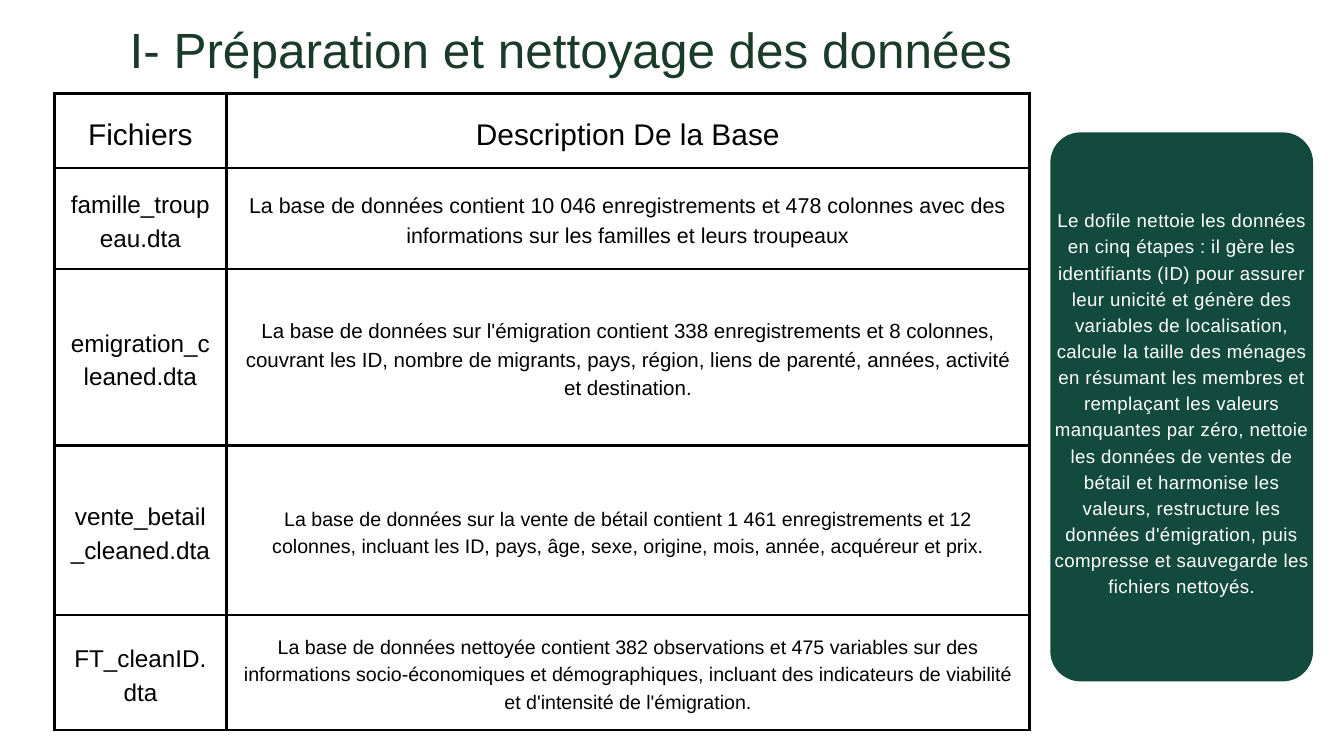
from lxml import etree
from pptx import Presentation
from pptx import util as u
from pptx.dml.color import RGBColor
from pptx.enum import shapes, text
from pptx.oxml.ns import qn

COLORS = {"title": "1A3B29", "panel": "124B3D", "ink": "000000", "light": "FFFFFF"}
FONT = "Arial"
LINE_RATIO = 1.4  # line height relative to the text size

TITLE = "I- Préparation et nettoyage des données"
COLUMN_WIDTHS = [2.56, 11.95]
# Row height, then (text, size) for each cell
TABLE_ROWS = [
    (1.11, ("Fichiers", 32), ("Description De la Base", 32)),
    (1.5, ("famille_troupeau.dta", 26),
     ("La base de données contient 10 046 enregistrements et 478 colonnes avec des "
      "informations sur les familles et leurs troupeaux", 23)),
    (2.63, ("emigration_cleaned.dta", 26),
     ("La base de données sur l'émigration contient 338 enregistrements et 8 colonnes, "
      "couvrant les ID, nombre de migrants, pays, région, liens de parenté, années, "
      "activité et destination.", 22)),
    (2.52, ("vente_betail_cleaned.dta", 26),
     ("La base de données sur la vente de bétail contient 1 461 enregistrements et 12 "
      "colonnes, incluant les ID, pays, âge, sexe, origine, mois, année, acquéreur et "
      "prix.", 21)),
    (1.71, ("FT_cleanID.dta", 26),
     ("La base de données nettoyée contient 382 observations et 475 variables sur des "
      "informations socio-économiques et démographiques, incluant des indicateurs de "
      "viabilité et d'intensité de l'émigration.", 21)),
]
CLEANING_STEPS = (
    "Le dofile nettoie les données en cinq étapes : il gère les identifiants (ID) pour "
    "assurer leur unicité et génère des variables de localisation, calcule la taille des "
    "ménages en résumant les membres et remplaçant les valeurs manquantes par zéro, "
    "nettoie les données de ventes de bétail et harmonise les valeurs, restructure les "
    "données d'émigration, puis compresse et sauvegarde les fichiers nettoyés.")


class SlideBuilder:
    def __init__(self, slide):
        self.slide = slide

    def add_text(self, paragraph, content, size, color, align=text.PP_ALIGN.CENTER, spacing=0):
        """Add one styled run; spacing is the tracking in points."""
        paragraph.alignment = align
        paragraph.line_spacing = u.Pt(round(size * LINE_RATIO, 1))
        run = paragraph.add_run()
        run.text = content
        run.font.name = FONT
        run.font.size = u.Pt(size)
        run.font.color.rgb = RGBColor.from_string(COLORS[color])
        if spacing:
            run._r.get_or_add_rPr().set("spc", str(round(spacing * 100)))

    def set_insets(self, target, inset):
        target.margin_left = target.margin_right = u.Inches(inset)
        target.margin_top = target.margin_bottom = u.Inches(inset)

    def title(self, content, left, top, width, height):
        shape = self.slide.shapes.title
        shape.left, shape.top = u.Inches(left), u.Inches(top)
        shape.width, shape.height = u.Inches(width), u.Inches(height)
        frame = shape.text_frame
        frame.word_wrap = True
        frame.auto_size = text.MSO_AUTO_SIZE.NONE
        frame.vertical_anchor = text.MSO_ANCHOR.TOP
        self.set_insets(frame, 0)
        self.add_text(frame.paragraphs[0], content, 53, "title", text.PP_ALIGN.LEFT)

    def border(self, cell, color, width):
        properties = cell._tc.get_or_add_tcPr()
        for index, side in enumerate(("lnL", "lnR", "lnT", "lnB")):
            line = etree.Element(qn(f"a:{side}"), w=str(int(u.Pt(width))))
            fill = etree.SubElement(line, qn("a:solidFill"))
            etree.SubElement(fill, qn("a:srgbClr"), val=COLORS[color])
            properties.insert(index, line)

    def table(self, rows, widths, left, top):
        heights = [row[0] for row in rows]
        table = self.slide.shapes.add_table(
            len(rows), len(widths), u.Inches(left), u.Inches(top),
            u.Inches(sum(widths)), u.Inches(sum(heights))).table
        table.first_row = table.horz_banding = False
        for column, width in zip(table.columns, widths):
            column.width = u.Inches(width)
        for table_row, (height, *entries) in zip(table.rows, rows):
            table_row.height = u.Inches(height)
            for cell, (content, size) in zip(table_row.cells, entries):
                cell.fill.background()
                self.border(cell, "ink", 3)
                self.set_insets(cell, 0.21)
                cell.vertical_anchor = text.MSO_ANCHOR.MIDDLE
                self.add_text(cell.text_frame.paragraphs[0], content, size, "ink")

    def panel(self, left, top, width, height, radius):
        shape = self.slide.shapes.add_shape(
            shapes.MSO_SHAPE.ROUNDED_RECTANGLE,
            u.Inches(left), u.Inches(top), u.Inches(width), u.Inches(height))
        shape.adjustments[0] = radius / min(width, height)
        shape.shadow.inherit = False
        shape.fill.solid()
        shape.fill.fore_color.rgb = RGBColor.from_string(COLORS["panel"])
        shape.line.fill.background()

    def text_box(self, content, left, top, width, height):
        box = self.slide.shapes.add_textbox(
            u.Inches(left), u.Inches(top), u.Inches(width), u.Inches(height))
        frame = box.text_frame
        frame.word_wrap = True
        frame.vertical_anchor = text.MSO_ANCHOR.MIDDLE
        self.set_insets(frame, 0.06)
        self.add_text(frame.paragraphs[0], content, 20, "light", spacing=0.4)


def main():
    presentation = Presentation()
    presentation.slide_width = u.Inches(20)
    presentation.slide_height = u.Inches(11.25)
    slide = presentation.slides.add_slide(presentation.slide_layouts.get_by_name("Title Only"))

    builder = SlideBuilder(slide)
    builder.table(TABLE_ROWS, COLUMN_WIDTHS, 0.81, 1.39)
    builder.panel(15.63, 1.97, 3.91, 8.17, radius=0.45)
    builder.text_box(CLEANING_STEPS, 15.63, 1.81, 3.91, 8.33)
    builder.title(TITLE, 1.93, 0.14, 16.15, 0.99)
    presentation.save("out.pptx")


if __name__ == "__main__":
    main()
